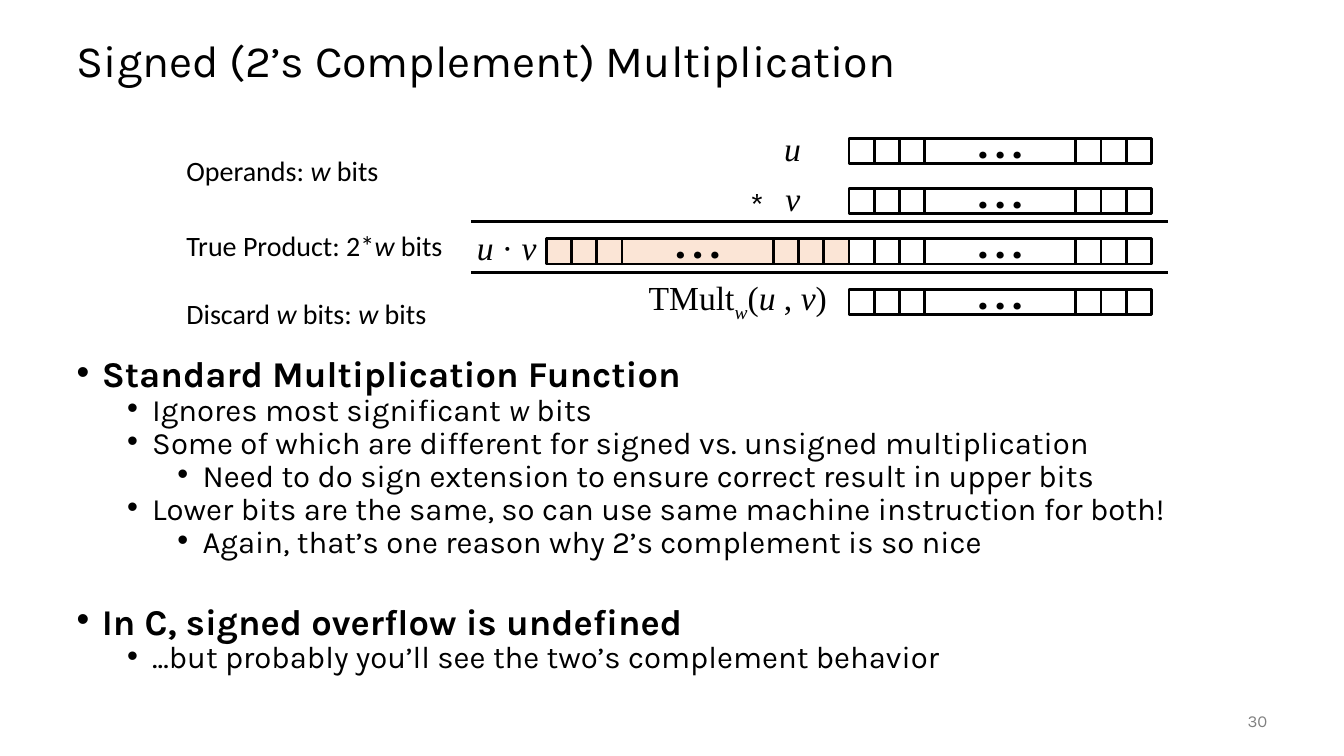
from lxml import etree
from pptx import Presentation
from pptx.dml.color import RGBColor
from pptx.enum import shapes, text
from pptx.oxml import ns
from pptx.util import Inches, Pt

BLACK = RGBColor(0, 0, 0)
WHITE = RGBColor(0xFF, 0xFF, 0xFF)
PEACH = RGBColor(0xFB, 0xE5, 0xD6)
GRAY = RGBColor(0x80, 0x80, 0x80)
SANS, SERIF, LABEL = "Karla", "Times New Roman", "Calibri"
LEFT, RIGHT = text.PP_ALIGN.LEFT, text.PP_ALIGN.RIGHT

# Underscores enclose italic text.
TITLE = "Signed (2’s Complement) Multiplication"
BULLETS = [  # level, space before, text
    (0, 0, "Standard Multiplication Function"),
    (1, 5, "Ignores most significant _w_ bits"),
    (1, 5, "Some of which are different for signed vs. unsigned multiplication"),
    (2, 5, "Need to do sign extension to ensure correct result in upper bits"),
    (1, 5, "Lower bits are the same, so can use same machine instruction for both!"),
    (2, 5, "Again, that’s one reason why 2’s complement is so nice"),
    (0, 37, "In C, signed overflow is undefined"),
    (1, 5, "...but probably you’ll see the two’s complement behavior"),
]
LABELS = [  # left, top, width, height, text, font, size, alignment
    (7.68, 1.22, 0.37, 0.5, "_u_", SERIF, 24, LEFT),
    (7.69, 1.72, 0.35, 0.5, "_v_", SERIF, 24, LEFT),
    (7.34, 1.78, 0.39, 0.5, "*", SANS, 24, LEFT),
    (4.62, 2.2, 0.8, 0.5, "_u_ · _v_", SERIF, 24, RIGHT),
    (1.75, 1.47, 2.13, 0.44, "Operands: _w_ bits", LABEL, 20, LEFT),
    (1.75, 2.22, 2.83, 0.44, "True Product: 2*_w_ bits", LABEL, 20, LEFT),
    (1.75, 2.89, 2.67, 0.44, "Discard _w_ bits: _w_ bits", LABEL, 20, LEFT),
]
RESULT = (6.29, 2.7, 2.01, 0.5, "TMult_w_(_u_ , _v_)", SERIF, 24, RIGHT)
PAGE_NUMBER = "30"

BIT, GAP = 0.25, 1.5  # widths of one bit and of the dotted middle
LOW, HIGH = 8.42, 5.42  # left edges of the two register columns
ROW_TOP, ROW_STEP = 1.37, 0.5
REGISTERS = [(LOW, row, WHITE) for row in range(4)] + [(HIGH, 2, PEACH)]
RULE_TOPS = (2.2, 2.7)
RULE_LEFT, RULE_RIGHT = 4.67, 11.58


def write(para, words, font, size, color=BLACK):
    for index, part in enumerate(words.split("_")):
        if part:
            span = para.add_run()
            span.text = part
            if index % 2:
                span.font.italic = True
    para.font.name, para.font.size = font, Pt(size)
    para.font.color.rgb = color


def place(box, left, top, width, height):
    box.left, box.top = Inches(left), Inches(top)
    box.width, box.height = Inches(width), Inches(height)


def add_label(page, left, top, width, height, words, font, size, align, color=BLACK):
    box = page.shapes.add_textbox(*map(Inches, (left, top, width, height)))
    box.text_frame.word_wrap = False
    para = box.text_frame.paragraphs[0]
    para.alignment = align
    write(para, words, font, size, color)
    return box


def add_register(page, left, row, color):
    """Draw three bits, a dotted middle and three more bits as one group."""
    group = page.shapes.add_group_shape()
    top = ROW_TOP + row * ROW_STEP
    for width in [BIT] * 3 + [GAP] + [BIT] * 3:
        cell = group.shapes.add_shape(
            shapes.MSO_SHAPE.RECTANGLE, *map(Inches, (left, top, width, BIT)))
        cell.shadow.inherit = False
        cell.fill.solid()
        cell.fill.fore_color.rgb = color
        cell.line.color.rgb = BLACK
        cell.line.width = Pt(2)
        if width == GAP:
            frame = cell.text_frame
            frame.word_wrap = False
            frame.vertical_anchor = text.MSO_ANCHOR.MIDDLE
            frame.paragraphs[0].alignment = text.PP_ALIGN.CENTER
            write(frame.paragraphs[0], "• • •", SANS, 24)
        left += width


def add_rule(page, top):
    rule = page.shapes.add_connector(
        shapes.MSO_CONNECTOR.STRAIGHT,
        *map(Inches, (RULE_LEFT, top, RULE_RIGHT, top)))
    rule.line.color.rgb = BLACK
    rule.line.width = Pt(2)
    etree.SubElement(rule._element.spPr, ns.qn("a:effectLst"))


def add_bullet(para, level, before, words):
    para.level = level
    props = para._p.get_or_add_pPr()
    props.set("marL", str(Inches(0.25 + 0.5 * level)))
    props.set("indent", str(Inches(-0.25)))
    etree.SubElement(props, ns.qn("a:buChar")).set("char", "•")
    para.line_spacing = 0.7
    para.space_before = Pt(before)
    write(para, words, SANS, 22.2 if level else 25.9)
    para.font.bold = level == 0


def main():
    deck = Presentation()
    deck.slide_width, deck.slide_height = Inches(13.33), Inches(7.5)
    page = deck.slides.add_slide(deck.slide_layouts[1])

    title, body = page.placeholders
    place(title, 0.66, 0.25, 12, 0.75)
    title.text_frame.vertical_anchor = text.MSO_ANCHOR.MIDDLE
    heading = title.text_frame.paragraphs[0]
    heading.alignment = LEFT
    heading.line_spacing = 0.9
    write(heading, TITLE, SANS, 32)

    place(body, 0.66, 3.55, 12, 3.2)
    frame = body.text_frame
    frame.auto_size = text.MSO_AUTO_SIZE.NONE
    for index, bullet in enumerate(BULLETS):
        para = frame.add_paragraph() if index else frame.paragraphs[0]
        add_bullet(para, *bullet)

    for register in REGISTERS:
        add_register(page, *register)
    for top in RULE_TOPS:
        add_rule(page, top)
    for label in LABELS:
        add_label(page, *label)

    result = add_label(page, *RESULT)
    subscript = result.text_frame.paragraphs[0].runs[1]
    subscript._r.get_or_add_rPr().set("baseline", "-25000")

    number = add_label(page, 11.67, 6.95, 1, 0.4, PAGE_NUMBER, SANS, 12, RIGHT, GRAY)
    number.text_frame.vertical_anchor = text.MSO_ANCHOR.MIDDLE

    deck.save("out.pptx")


if __name__ == "__main__":
    main()
